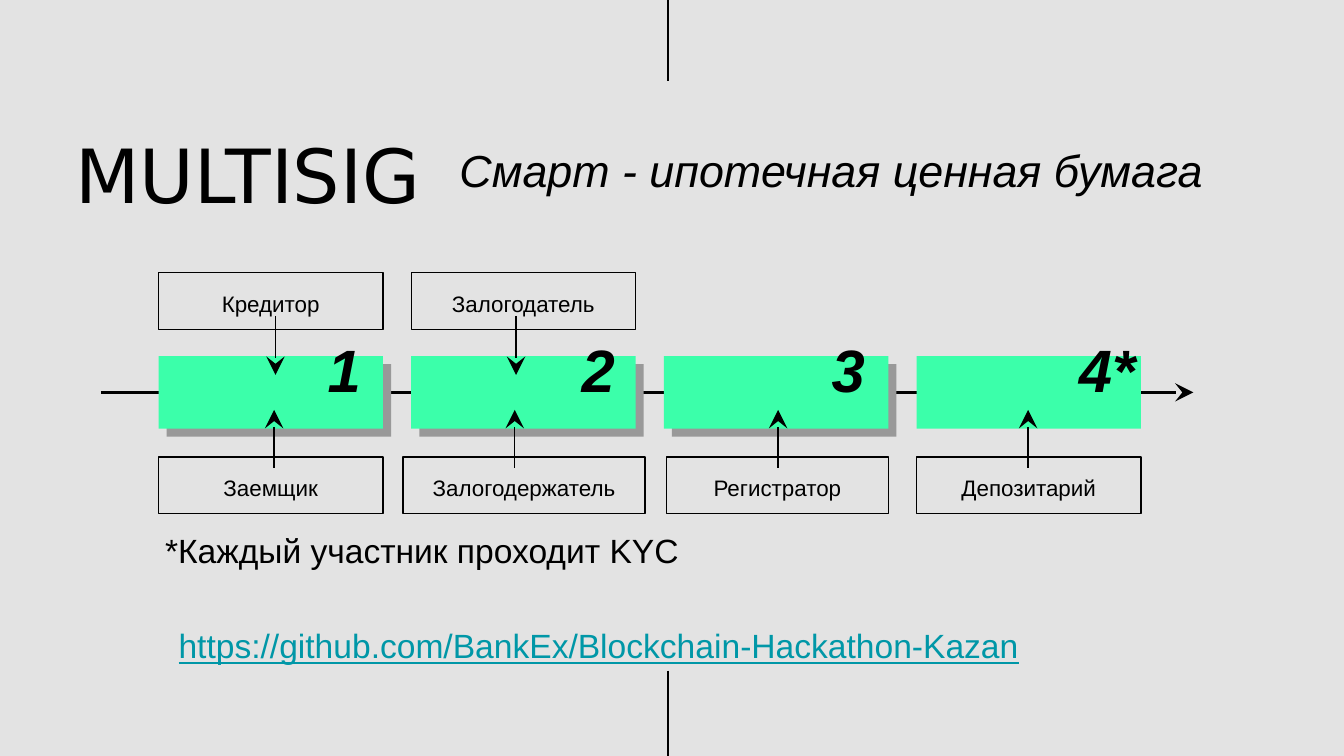
from pptx import Presentation
from pptx.dml.color import RGBColor
from pptx.enum.shapes import MSO_CONNECTOR, MSO_SHAPE
from pptx.enum.text import MSO_ANCHOR, MSO_AUTO_SIZE, PP_ALIGN
from pptx.oxml.ns import qn
from pptx.util import Inches, Pt
from lxml import etree

RECT = MSO_SHAPE.RECTANGLE
LINE = MSO_CONNECTOR.STRAIGHT
MID = MSO_ANCHOR.MIDDLE
FIXED = MSO_AUTO_SIZE.NONE
LEFT, CENTER = PP_ALIGN.LEFT, PP_ALIGN.CENTER

THEME = {
    "back": "E3E3E3", "ink": "000000", "block": "3BFFAA",
    "shade": "999999", "link": "0097A7",
    "font": "Arial", "head": "DejaVu Sans",
    "title": 40, "num": 32, "sub": 24, "note": 18, "label": 12,
    "thin": 0.75, "thick": 1.5,
}

TITLE = "MULTISIG"
SUB = "Смарт - ипотечная ценная бумага"
NOTE = "*Каждый участник проходит KYC"
URL = "https://github.com/BankEx/Blockchain-Hackathon-Kazan"

STEPS = [
    {"num": "1", "num_x": 2.34, "num_w": 0.31, "shade": True,
     "top": "Кредитор", "low": "Заемщик", "low_x": 1.18, "low_w": 1.67,
     "down": 2.05, "up": 2.04},
    {"num": "2", "num_x": 4.23, "num_w": 0.31, "shade": True,
     "top": "Залогодатель", "low": "Залогодержатель", "low_x": 3, "low_w": 1.8,
     "down": 3.84, "up": 3.83},
    {"num": "3", "num_x": 6.09, "num_w": 0.31, "shade": True,
     "top": None, "low": "Регистратор", "low_x": 4.96, "low_w": 1.65,
     "up": 5.79},
    {"num": "4*", "num_x": 7.93, "num_w": 1.14, "shade": False,
     "top": None, "low": "Депозитарий", "low_x": 6.82, "low_w": 1.67,
     "up": 7.65},
]

WIDE = 10
HIGH = WIDE * 9 / 16
START, PITCH = 1.18, 1.88
BLOCK_Y, BLOCK_W, BLOCK_H = 2.65, 1.67, 0.54
SHIFT = 0.06
TOP_Y, LOW_Y, ROW_H = 2.03, 3.4, 0.42
NUM_Y = 2.49
AXIS_X = 4.97

deck = Presentation()
deck.slide_width, deck.slide_height = Inches(WIDE), Inches(HIGH)
slide = deck.slides.add_slide(deck.slide_layouts[5])
shapes = slide.shapes


def color(name):
    return RGBColor.from_string(THEME[name])


def place(shape, x, y, w, h):
    shape.left, shape.top = Inches(x), Inches(y)
    shape.width, shape.height = Inches(w), Inches(h)


def write(shape, text, size, font="font", ink="ink", align=LEFT,
          bold=False, italic=False, under=False):
    frame = shape.text_frame
    frame.text = text
    frame.word_wrap = True
    frame.auto_size = FIXED
    frame.vertical_anchor = MID
    frame.margin_left = frame.margin_right = Inches(0.1)
    frame.margin_top = frame.margin_bottom = Inches(0.1)
    para = frame.paragraphs[0]
    para.alignment = align
    para.line_spacing = 1.15
    face = para.runs[0].font
    face.name, face.size = THEME[font], Pt(THEME[size])
    face.color.rgb = color(ink)
    face.bold, face.italic, face.underline = bold, italic, under


def text(x, y, w, words, size, **style):
    box = shapes.add_textbox(Inches(x), Inches(y), Inches(w), Inches(ROW_H))
    write(box, words, size, **style)


def rect(x, y, w, h, fill=None):
    box = shapes.add_shape(RECT, Inches(x), Inches(y), Inches(w), Inches(h))
    box.shadow.inherit = False
    if fill:
        box.fill.solid()
        box.fill.fore_color.rgb = color(fill)
        box.line.fill.background()
    else:
        box.fill.background()
        box.line.color.rgb = color("ink")
        box.line.width = Pt(THEME["thin"])
    return box


def label(x, y, w, words):
    write(rect(x, y, w, ROW_H), words, "label", align=CENTER)


def line(x1, y1, x2, y2, width="thin", arrow=True):
    link = shapes.add_connector(LINE, Inches(x1), Inches(y1),
                                Inches(x2), Inches(y2))
    link.line.color.rgb = color("ink")
    link.line.width = Pt(THEME[width])
    props = link._element.spPr
    if arrow:
        etree.SubElement(props.find(qn("a:ln")), qn("a:tailEnd"),
                         type="stealth", w="lg", len="lg")
    etree.SubElement(props, qn("a:effectLst"))


slide.background.fill.solid()
slide.background.fill.fore_color.rgb = color("back")

line(0.75, 2.92, 8.88, 2.92, "thick")

for i, step in enumerate(STEPS):
    x = START + i * PITCH
    if step["shade"]:
        rect(x + SHIFT, BLOCK_Y + SHIFT, BLOCK_W, BLOCK_H, "shade")
    rect(x, BLOCK_Y, BLOCK_W, BLOCK_H, "block")
    label(step["low_x"], LOW_Y, step["low_w"], step["low"])
    line(step["up"], 3.48, step["up"], 3.05)
    if step["top"]:
        label(x, TOP_Y, BLOCK_W, step["top"])
        line(step["down"], 2.35, step["down"], 2.79)
    text(step["num_x"], NUM_Y, step["num_w"], step["num"], "num",
         bold=True, italic=True)

title = shapes.title
place(title, 0.46, 1.03, 3.82, ROW_H)
write(title, TITLE, "title", font="head")
text(3.32, 1.02, 5.98, SUB, "sub", italic=True)
text(1.13, 3.86, 5.43, NOTE, "note")
text(1.23, 4.57, 8.21, URL, "note", ink="link", under=True)

for y1, y2 in [(0, 0.6), (4.99, HIGH)]:
    line(AXIS_X, y1, AXIS_X, y2, "thick", arrow=False)

deck.save("out.pptx")
